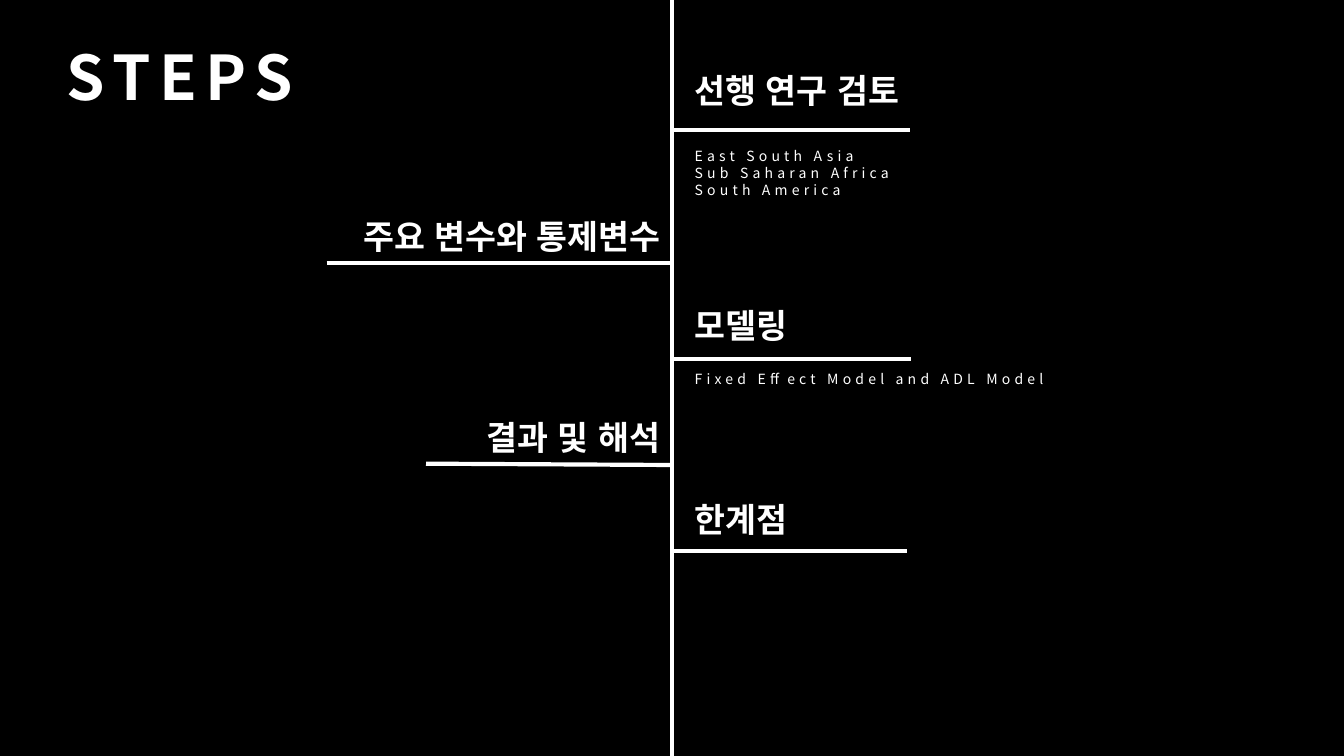
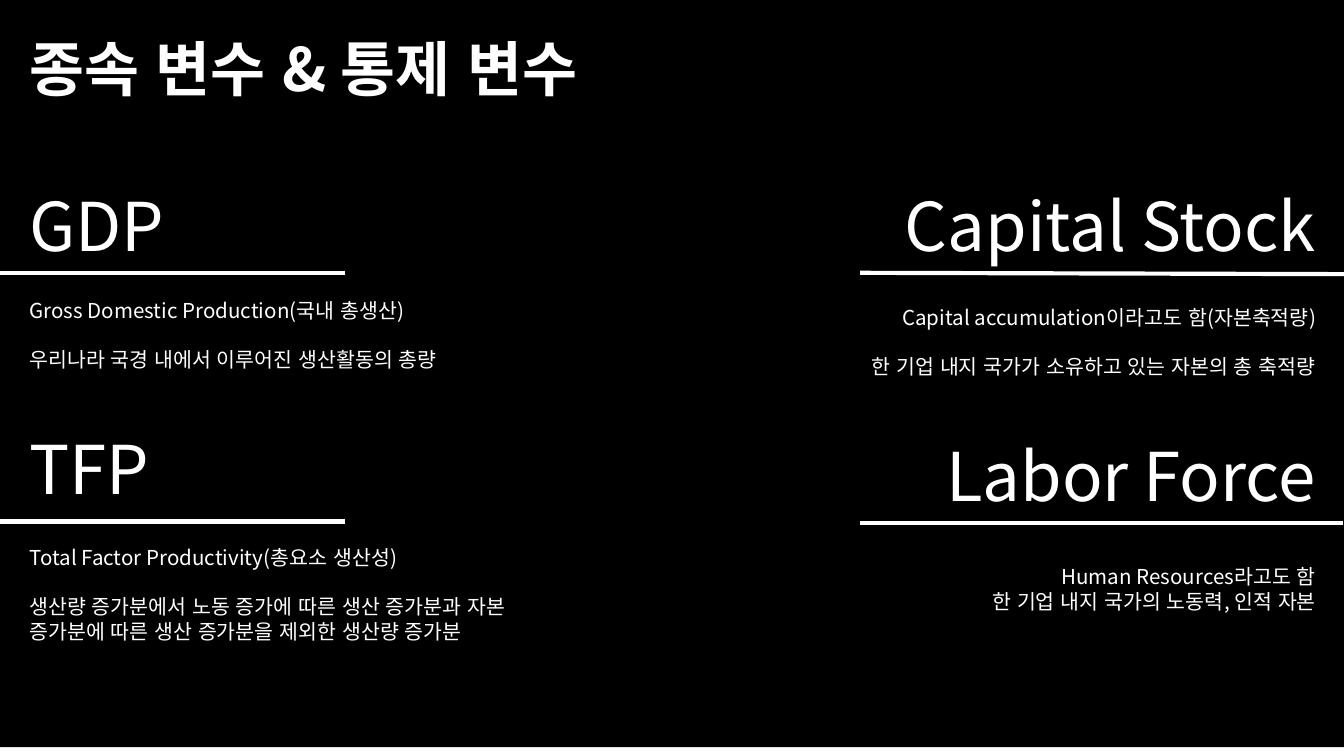
from pptx import Presentation
from pptx.dml.color import RGBColor
from pptx.enum.lang import MSO_LANGUAGE_ID as LANG
from pptx.enum.shapes import MSO_CONNECTOR as CONN, MSO_SHAPE as SHAPE
from pptx.enum.text import MSO_AUTO_SIZE as FIT, PP_ALIGN as AL
from pptx.oxml.ns import qn
from pptx.util import Inches, Pt
from lxml.etree import SubElement

FONT = "Noto Sans CJK KR"
BLACK, WHITE = "000000", "FFFFFF"
WIDTH, HEIGHT = 10, 5.625


def color(value):
    return RGBColor.from_string(value)


def write(tf, text, size=11, bold=False, align=AL.LEFT, tracking=0, gap=0):
    for i, line in enumerate(text.split("\n")):
        p = tf.add_paragraph() if i else tf.paragraphs[0]
        p.alignment = align
        if i:
            p.space_before = Pt(gap)
        r = p.add_run()
        r.text = line
        r.font.name, r.font.size, r.font.bold = FONT, Pt(size), bold
        r.font.language_id = LANG.KOREAN
        r.font.color.rgb = color(WHITE)
        rPr = r.font._element
        SubElement(rPr, qn("a:ea")).set("typeface", FONT)
        if tracking:
            rPr.set("spc", str(round(tracking * 100)))


class Deck:
    def __init__(self):
        self.prs = Presentation()
        self.prs.slide_width, self.prs.slide_height = Inches(WIDTH), Inches(HEIGHT)
        self.s = None

    def slide(self, height=HEIGHT):
        self.s = self.prs.slides.add_slide(self.prs.slide_layouts[6])
        sp = self.s.shapes.add_shape(
            SHAPE.RECTANGLE, 0, 0, Inches(WIDTH), Inches(height))
        sp.shadow.inherit = False
        sp.fill.solid()
        sp.fill.fore_color.rgb = color(BLACK)
        sp.line.fill.background()
        return sp

    def text(self, text, x, y, w, h, **style):
        sp = self.s.shapes.add_textbox(Inches(x), Inches(y), Inches(w), Inches(h))
        tf = sp.text_frame
        tf.word_wrap = True
        tf.auto_size = FIT.SHAPE_TO_FIT_TEXT
        write(tf, text, **style)

    def line(self, x1, y1, x2, y2):
        c = self.s.shapes.add_connector(
            CONN.STRAIGHT, Inches(x1), Inches(y1), Inches(x2), Inches(y2))
        c.line.color.rgb = color(WHITE)
        c.line.width = Pt(2.25)
        SubElement(c._element.spPr, qn("a:effectLst"))
        return c


def steps_slide(deck):
    panel = deck.slide()
    middle = WIDTH / 2
    spine = deck.line(middle, 0, middle, HEIGHT)
    spine.begin_connect(panel, 0)
    spine.end_connect(panel, 2)
    deck.text("STEPS", 0.4, 0.24, 2.71, 0.66, size=33, bold=True, tracking=4.5)

    steps = [
        ("선행 연구 검토", 5.07, 0.47, 1.95, AL.LEFT, (5, 0.97, 6.77, 0.97)),
        ("주요 변수와 통제변수", 2.04, 1.56, 2.97, AL.RIGHT, (2.43, 1.96, 5, 1.96)),
        ("모델링", 5.07, 2.22, 1.95, AL.LEFT, (5.01, 2.67, 6.78, 2.67)),
        ("결과 및 해석", 3.24, 3.05, 1.77, AL.RIGHT, (3.17, 3.45, 4.99, 3.46)),
        ("한계점", 5.07, 3.66, 1.77, AL.JUSTIFY, (5.01, 4.1, 6.75, 4.1)),
    ]
    for name, x, y, w, align, rule in steps:
        deck.text(name, x, y, w, 0.4, size=18, bold=True, align=align)
        deck.line(*rule)

    details = [
        ("East South Asia\nSub Saharan Africa\nSouth America", 1.05, 0.48),
        ("Fixed Effect Model and ADL Model", 2.71, 0.23),
    ]
    for detail, y, h in details:
        deck.text(detail, 5.07, y, 4.68, h, size=7.5, tracking=2.2)


def variables_slide(deck):
    deck.slide(5.56)
    deck.text("종속 변수 & 통제 변수", 0.12, 0.19, 6.07, 0.64, size=32, bold=True)

    margin = 0.12
    variables = [
        ("GDP", AL.LEFT, 1.32, 2.15, (0, 2.03, 2.57, 2.03),
         "Gross Domestic Production(국내 총생산)\n"
         "우리나라 국경 내에서 이루어진 생산활동의 총량", 2.17, 3.87, 0.66, 13),
        ("Capital Stock", AL.RIGHT, 1.32, 5.14, (6.4, 2.03, 10, 2.04),
         "Capital accumulation이라고도 함(자본축적량)\n"
         "한 기업 내지 국가가 소유하고 있는 자본의 총 축적량", 2.22, 3.87, 0.66, 13),
        ("TFP", AL.LEFT, 3.13, 2.15, (0, 3.88, 2.57, 3.88),
         "Total Factor Productivity(총요소 생산성)\n"
         "생산량 증가분에서 노동 증가에 따른 생산 증가분과 자본 증가분에 따른 "
         "생산 증가분을 제외한 생산량 증가분", 4.01, 4.07, 0.84, 13),
        ("Labor Force", AL.RIGHT, 3.18, 3.33, (6.4, 3.89, 9.99, 3.89),
         "Human Resources라고도 함\n"
         "한 기업 내지 국가의 노동력, 인적 자본", 4.15, 3.87, 0.47, 0),
    ]
    for name, align, y, w, rule, note, note_y, note_w, note_h, gap in variables:
        name_x, note_x = (
            margin if align == AL.LEFT else WIDTH - margin + 0.01 - width
            for width in (w, note_w))
        deck.text(name, name_x, y, w, 0.71, size=36, align=align)
        deck.line(*rule)
        deck.text(note, note_x, note_y, note_w, note_h, align=align, gap=gap)


def main():
    deck = Deck()
    steps_slide(deck)
    variables_slide(deck)
    deck.prs.save("out.pptx")


if __name__ == "__main__":
    main()
